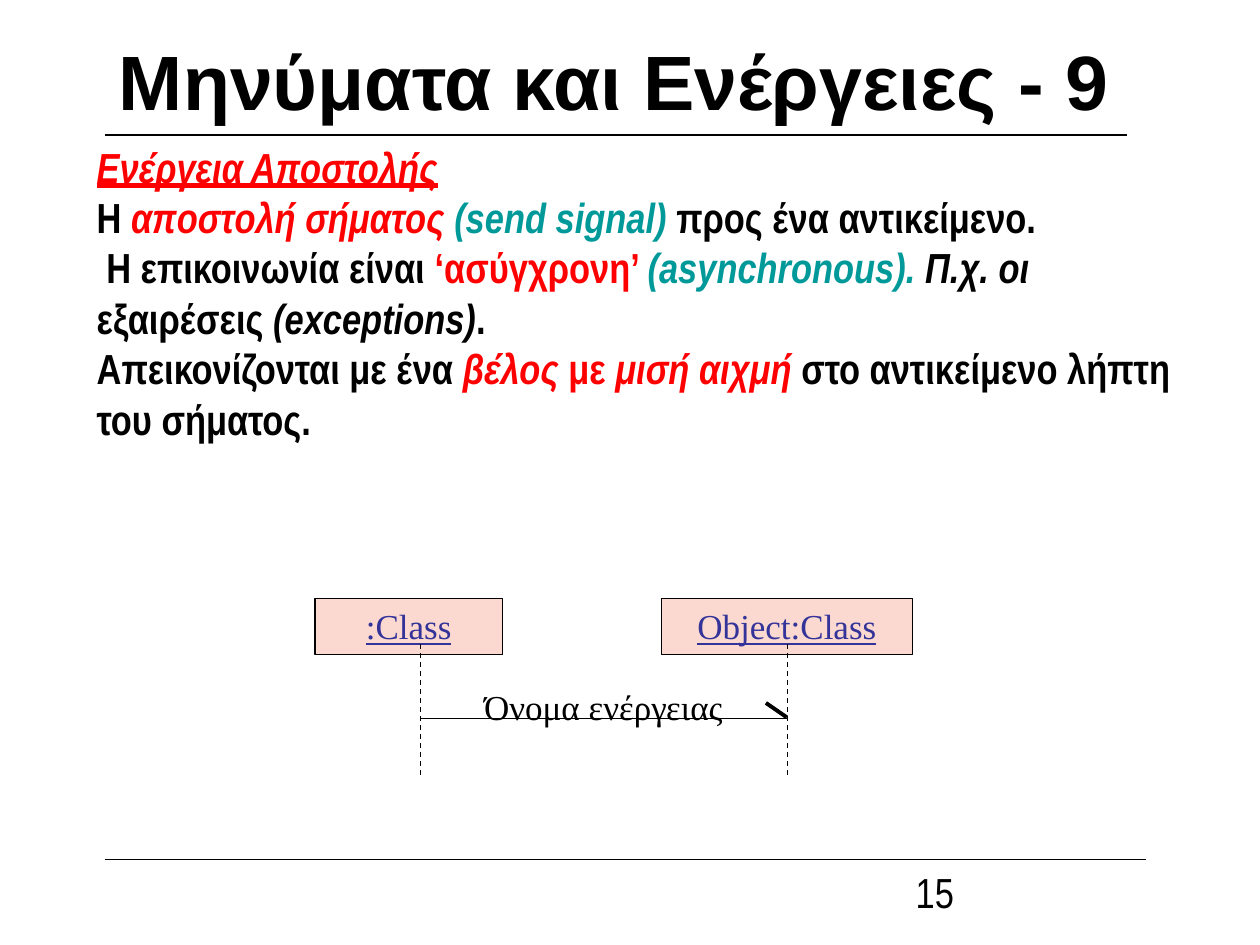
from pptx import Presentation
from pptx.dml.color import RGBColor
from pptx.enum.dml import MSO_LINE
from pptx.enum.shapes import MSO_CONNECTOR, MSO_SHAPE
from pptx.enum.text import MSO_ANCHOR, PP_ALIGN
from pptx.oxml.ns import qn
from pptx.util import Cm, Pt
from lxml.etree import SubElement

HUES = {"black": "000000", "red": "FF0000", "teal": "009999",
        "pink": "FCD9D0", "navy": "333399"}


def hue(name):
    return RGBColor.from_string(HUES[name])


def write(shape, paras, font, size, align=PP_ALIGN.LEFT):
    """Fill a shape with paragraphs of (text, colour, style letters) runs."""
    frame = shape.text_frame
    frame.word_wrap = True
    for i, runs in enumerate(paras):
        para = frame.add_paragraph() if i else frame.paragraphs[0]
        para.alignment = align
        for text, color, style in runs:
            run = para.add_run()
            run.text = text
            run.font.name, run.font.size = font, Pt(size)
            run.font.color.rgb = hue(color)
            run.font.bold = "b" in style
            run.font.italic = "i" in style
            run.font.underline = "u" in style


deck = Presentation()
deck.slide_width, deck.slide_height = Cm(25.4), Cm(19.05)
slide = deck.slides.add_slide(deck.slide_layouts[6])
shapes = slide.shapes

# Title, body and page number
title = shapes.add_textbox(Cm(1.27), Cm(-0.4), Cm(22.23), Cm(4))
title.text_frame.vertical_anchor = MSO_ANCHOR.MIDDLE
write(title, [[("Μηνύματα και Ενέργειες - 9", "black", "b")]],
      "Arial", 44, PP_ALIGN.CENTER)

body = shapes.add_textbox(Cm(1.7), Cm(2.72), Cm(22.81), Cm(6.35))
write(body, [
    [("Ενέργεια Αποστολής", "red", "biu")],
    [("Η ", "black", "b"), ("αποστολή σήματος ", "red", "bi"),
     ("(send signal)", "teal", "bi"),
     (" προς ένα αντικείμενο.", "black", "b")],
    [(" Η επικοινωνία είναι ", "black", "b"), ("‘ασύγχρονη’ ", "red", "b"),
     ("(asynchronous).", "teal", "bi"), (" Π.χ. οι ", "black", "bi"),
     ("εξαιρέσεις ", "black", "b"), ("(exceptions)", "black", "bi"),
     (".", "black", "b")],
    [("Απεικονίζονται με ένα ", "black", "b"), ("βέλος ", "red", "bi"),
     ("με ", "red", "b"), ("μισή αιχμή", "red", "bi"),
     (" στο αντικείμενο λήπτη του σήματος.", "black", "b")],
], "Arial Narrow", 24)

page = shapes.add_textbox(Cm(18.21), Cm(17.35), Cm(5.89), Cm(1.3))
write(page, [[("15", "black", "")]], "Arial Narrow", 24)

# Objects of the sequence diagram
for name, left, width in ((":Class", 6.35, 3.78), ("Object:Class", 13.34, 5.05)):
    box = shapes.add_shape(MSO_SHAPE.RECTANGLE,
                           Cm(left), Cm(12.07), Cm(width), Cm(1.12))
    box.shadow.inherit = False
    box.fill.solid()
    box.fill.fore_color.rgb = hue("pink")
    box.line.color.rgb = hue("black")
    box.line.width = Pt(0.75)
    box.text_frame.vertical_anchor = MSO_ANCHOR.TOP
    write(box, [[(name, "navy", "u")]], "Times New Roman", 20, PP_ALIGN.CENTER)

label = shapes.add_textbox(Cm(9.32), Cm(13.69), Cm(5.69), Cm(1.12))
write(label, [[("Όνομα ενέργειας", "black", "")]],
      "Times New Roman", 20, PP_ALIGN.CENTER)

# Rules, lifelines, message and its half arrowhead
lines = [
    (2.11, 2.72, 22.71, 2.72, 0.75, None),
    (2.11, 17.32, 23.11, 17.32, 0.75, None),
    (8.47, 12.98, 8.47, 15.67, 0.75, MSO_LINE.DASH),
    (15.88, 12.98, 15.88, 15.67, 0.75, MSO_LINE.DASH),
    (8.47, 14.48, 15.86, 14.48, 0.75, None),
    (15.44, 14.17, 15.86, 14.46, 2.25, None),
]
for x1, y1, x2, y2, weight, dash in lines:
    line = shapes.add_connector(MSO_CONNECTOR.STRAIGHT,
                                Cm(x1), Cm(y1), Cm(x2), Cm(y2))
    line.line.color.rgb = hue("black")
    line.line.width = Pt(weight)
    if dash:
        line.line.dash_style = dash
    SubElement(line._element.spPr, qn("a:effectLst"))

deck.save("out.pptx")
